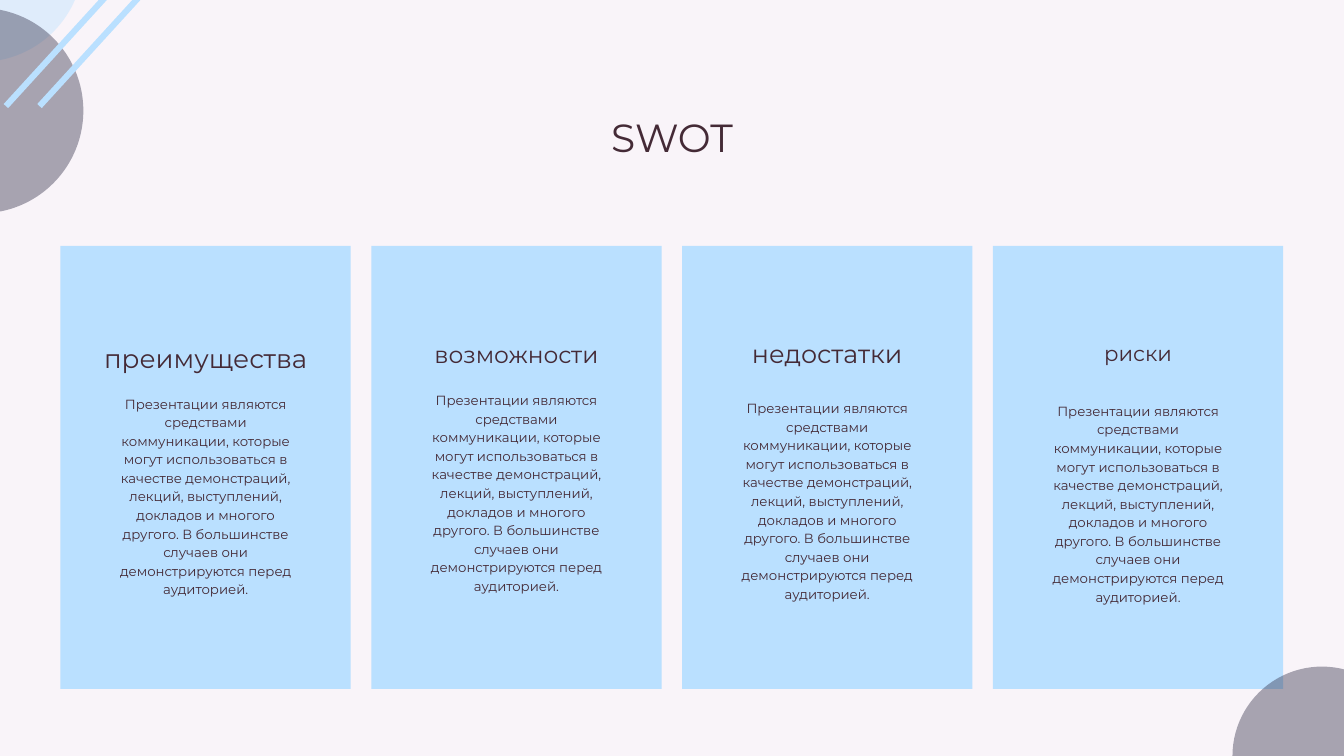
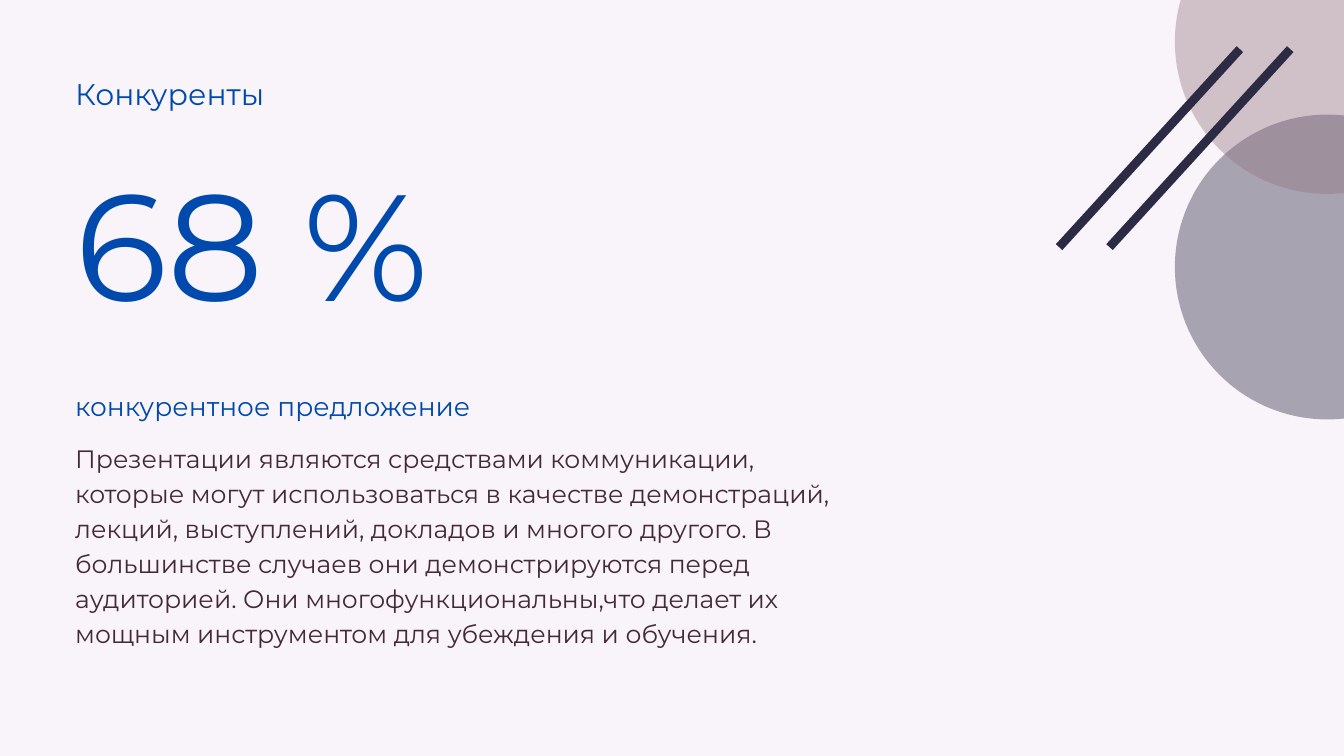
import pptx
import pptx.dml.color
import pptx.enum.shapes
import pptx.enum.text
import pptx.oxml.ns
import pptx.util
from lxml import etree

Pt = pptx.util.Pt
SHAPE = pptx.enum.shapes.MSO_SHAPE
ALIGN = pptx.enum.text.PP_ALIGN

COLORS = {
    "background": "F9F4F9",
    "sky": "BAE0FF",
    "navy": "2D2A44",
    "mauve": "947583",
    "plum": "442A36",
    "blue": "004AAD",
}
FONT = "Montserrat"
CIRCLE_OPACITY = 40
BAR_TILT = 42.4

CARD_LEFT, CARD_TOP = 64.8, 263.5
CARD_WIDTH, CARD_HEIGHT = 311, 474.5
CARD_STEP = 333
BODY_WIDTH, BODY_HEIGHT = 200.2, 213.1
MARGIN = 80.6

PITCH = (
    "Презентации являются средствами коммуникации, которые могут "
    "использоваться в качестве демонстраций, лекций, выступлений, докладов "
    "и многого другого. В большинстве случаев они демонстрируются перед "
    "аудиторией."
)
PITCH_ENDING = (
    " Они многофункциональны,что делает их мощным инструментом "
    "для убеждения и обучения."
)

SWOT_CARDS = [
    ("преимущества", 28, 39.2, 361.4, 237.6, 421.2),
    ("возможности", 25, 35, 359.3, 268.6, 417.6),
    ("недостатки", 27.2, 38.1, 356.4, 268.6, 426.2),
    ("риски", 22.7, 31.8, 360, 268.6, 429.1),
]


def rgb(color):
    return pptx.dml.color.RGBColor.from_string(COLORS[color])


def add_page(deck):
    page = deck.slides.add_slide(deck.slide_layouts[6])
    page.background.fill.solid()
    page.background.fill.fore_color.rgb = rgb("background")
    return page


def add_filled(page, kind, left, top, width, height, color):
    shape = page.shapes.add_shape(kind, Pt(left), Pt(top), Pt(width), Pt(height))
    shape.shadow.inherit = False
    shape.fill.solid()
    shape.fill.fore_color.rgb = rgb(color)
    shape.line.fill.background()
    return shape


def add_circle(page, left, top, diameter, color):
    circle = add_filled(page, SHAPE.OVAL, left, top, diameter, diameter, color)
    tint = circle.fill._xPr.find(".//" + pptx.oxml.ns.qn("a:srgbClr"))
    alpha = etree.SubElement(tint, pptx.oxml.ns.qn("a:alpha"))
    alpha.set("val", str(CIRCLE_OPACITY * 1000))


def add_bars(page, lefts, top, width, height, color):
    for left in lefts:
        bar = add_filled(page, SHAPE.RECTANGLE, left, top, width, height, color)
        bar.rotation = BAR_TILT


def add_text(page, text, left, top, width, height, size, leading,
             color="plum", align=ALIGN.LEFT):
    box = page.shapes.add_textbox(Pt(left), Pt(top), Pt(width), Pt(height))
    frame = box.text_frame
    frame.margin_left = frame.margin_right = 0
    frame.margin_top = frame.margin_bottom = 0
    frame.word_wrap = True
    frame.auto_size = pptx.enum.text.MSO_AUTO_SIZE.SHAPE_TO_FIT_TEXT
    para = frame.paragraphs[0]
    para.alignment = align
    para.line_spacing = Pt(leading)
    span = para.add_run()
    span.text = text
    span.font.name = FONT
    span.font.size = Pt(size)
    span.font.color.rgb = rgb(color)


def add_centered(page, text, center, top, width, height, size, leading):
    add_text(page, text, center - width / 2, top, width, height, size, leading,
             align=ALIGN.CENTER)


def add_swot_page(deck):
    page = add_page(deck)
    card_lefts = [CARD_LEFT + CARD_STEP * index for index in range(len(SWOT_CARDS))]
    for left in card_lefts:
        add_filled(page, SHAPE.RECTANGLE, left, CARD_TOP, CARD_WIDTH, CARD_HEIGHT, "sky")
    add_centered(page, "SWOT", 720, 121.7, 880.6, 50.4, 42, 50.4)

    add_circle(page, 1320.5, 714.2, 191.7, "navy")
    add_circle(page, -130.7, -153.7, 220, "sky")
    add_circle(page, -130.7, 8.6, 220, "navy")
    add_bars(page, (68.4, 104.4), -54.7, 6.5, 193.7, "sky")

    for left, card in zip(card_lefts, SWOT_CARDS):
        heading, size, leading, heading_top, heading_width, body_top = card
        center = left + CARD_WIDTH / 2
        add_centered(page, heading, center, heading_top, heading_width, leading,
                     size, leading)
        add_centered(page, PITCH, center, body_top, BODY_WIDTH, BODY_HEIGHT, 14.2, 19.9)


def add_competitors_page(deck):
    page = add_page(deck)
    add_circle(page, 1258.8, 122.8, 326.6, "navy")
    add_circle(page, 1258.8, -118.8, 326.6, "mauve")
    add_bars(page, (1280.9, 1226.9), 15.1, 9.4, 287.3, "navy")

    add_text(page, "Конкуренты", MARGIN, 80.6, 745.2, 38.2, 32, 38.4, "blue")
    add_text(page, PITCH + PITCH_ENDING, MARGIN, 469.4, 810.7, 259.2, 26.9, 37.6)
    add_text(page, "конкурентное предложение", MARGIN, 411.8, 911.5, 36.7,
             28.4, 39.8, "blue")
    add_text(page, "68 %", MARGIN, 167.8, 1011.6, 190.1, 161.9, 187.8, "blue")


def main():
    deck = pptx.Presentation()
    deck.slide_width = Pt(1440)
    deck.slide_height = Pt(810)
    add_swot_page(deck)
    add_competitors_page(deck)
    deck.save("out.pptx")


if __name__ == "__main__":
    main()
